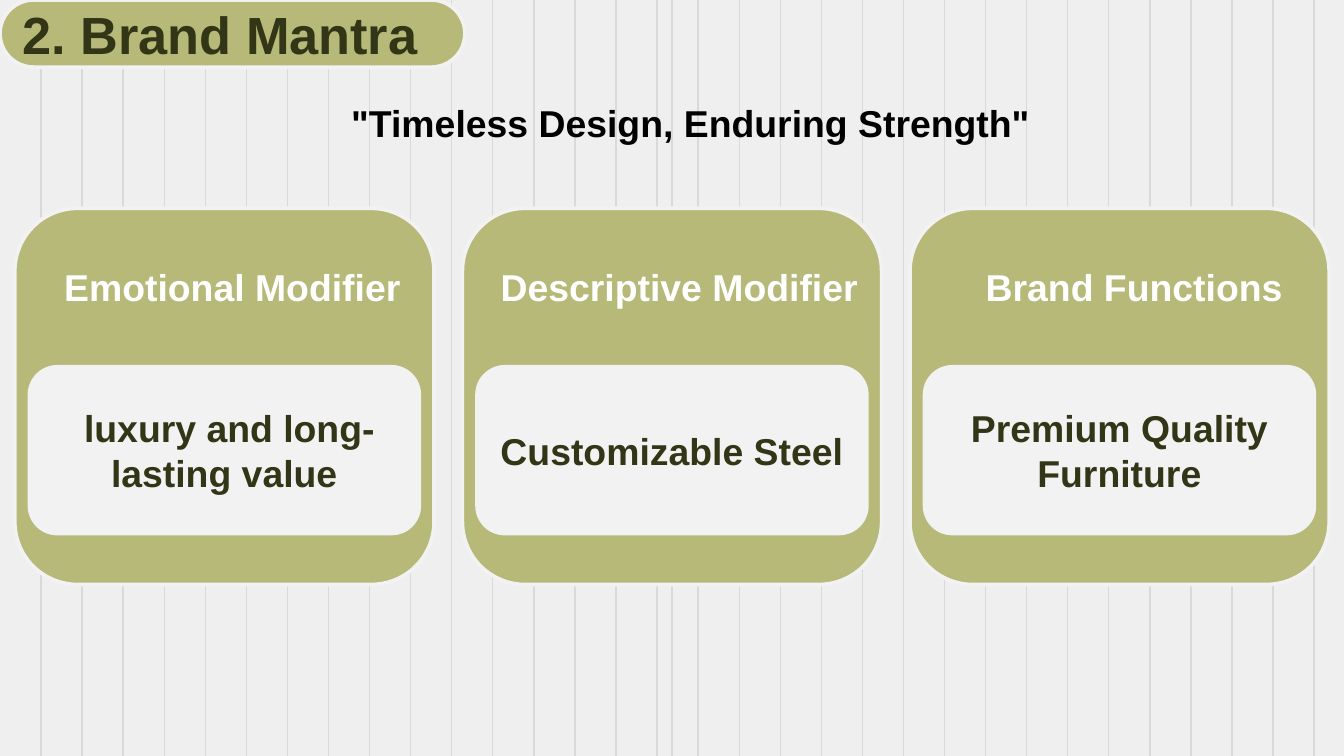
import pptx
import pptx.dml.color
import pptx.enum.shapes
import pptx.enum.text
import pptx.oxml.ns
import pptx.util
import lxml.etree

Inches = pptx.util.Inches
Pt = pptx.util.Pt
ALIGN = pptx.enum.text.PP_ALIGN
ROUNDED = pptx.enum.shapes.MSO_SHAPE.ROUNDED_RECTANGLE
STRAIGHT = pptx.enum.shapes.MSO_CONNECTOR.STRAIGHT
OLIVE, PALE, DARK = "B6B978", "F2F2F2", "333517"


def paint(target, color):
    if hasattr(target, "solid"):
        target.solid()
        target = target.fore_color
    target.rgb = pptx.dml.color.RGBColor.from_string(color)


def write(shape, text, size, color, alignment):
    shape.text_frame.word_wrap = True
    paragraph = shape.text_frame.paragraphs[0]
    paragraph.alignment = alignment
    run = paragraph.add_run()
    run.text = text
    run.font.name = "Arial"
    run.font.size = Pt(size)
    run.font.bold = True
    paint(run.font.color, color)


presentation = pptx.Presentation()
presentation.slide_width = Inches(10)
presentation.slide_height = presentation.slide_width * 9 // 16
width, height = presentation.slide_width, presentation.slide_height
slide = presentation.slides.add_slide(presentation.slide_layouts[5])
shapes = slide.shapes
paint(slide.background.fill, "EFEFEF")

stripe_gap = width * 11 / 360
stripe_positions = [int(stripe_gap * number) for number in range(1, 33)]
for x in stripe_positions + [width // 2]:
    stripe = shapes.add_connector(STRAIGHT, x, 0, x, height)
    paint(stripe.line.color, "D9D9D9")
    stripe.line.width = Pt(0.75)
    properties = stripe._element.spPr
    lxml.etree.SubElement(properties, pptx.oxml.ns.qn("a:effectLst"))

pill = shapes.add_shape(ROUNDED, 0, 0, Inches(3.46), Inches(0.5))
pill.adjustments[0] = 0.5
blocks = [(pill, OLIVE)]

title = shapes.title
shapes._spTree.append(title._element)
title.left, title.top, title.width, title.height = 0, 0, pill.width, pill.height
title.text_frame.margin_left = Inches(0.17)
title.text_frame.auto_size = pptx.enum.text.MSO_AUTO_SIZE.NONE
title.text_frame.vertical_anchor = pptx.enum.text.MSO_ANCHOR.MIDDLE
write(title, "2. Brand Mantra", 28, DARK, ALIGN.LEFT)

card_left, card_step = Inches(0.11), Inches(3.33)
cards = [
    ("Emotional Modifier", 0.17, 2.9, " luxury and long-lasting value"),
    ("Descriptive Modifier", 0.11, 3.01, "Customizable Steel"),
    ("Brand Functions", 0.22, 2.9, "Premium Quality Furniture"),
]
labels = [("\"Timeless Design, Enduring Strength\"", Inches(1.78), 0.7, 6.72, "000000")]
for column, (heading, indent, heading_width, detail) in enumerate(cards):
    left = card_left + column * card_step
    card = shapes.add_shape(ROUNDED, left, Inches(1.55), Inches(3.12), Inches(2.8))
    panel = shapes.add_shape(
        ROUNDED, left + Inches(0.11), Inches(2.73), Inches(2.9), Inches(1.24))
    blocks += [(card, OLIVE), (panel, PALE)]
    write(panel, detail, 20, DARK, ALIGN.CENTER)
    labels.append((heading, left + Inches(indent), 1.92, heading_width, "FFFFFF"))

for block, color in blocks:
    block.shadow.inherit = False
    paint(block.fill, color)
    paint(block.line.color, PALE)
    block.line.width = Pt(2)

for text, left, top, label_width, color in labels:
    label = shapes.add_textbox(left, Inches(top), Inches(label_width), Inches(0.44))
    label.text_frame.auto_size = pptx.enum.text.MSO_AUTO_SIZE.SHAPE_TO_FIT_TEXT
    write(label, text, 20, color, ALIGN.CENTER)

presentation.save("out.pptx")
